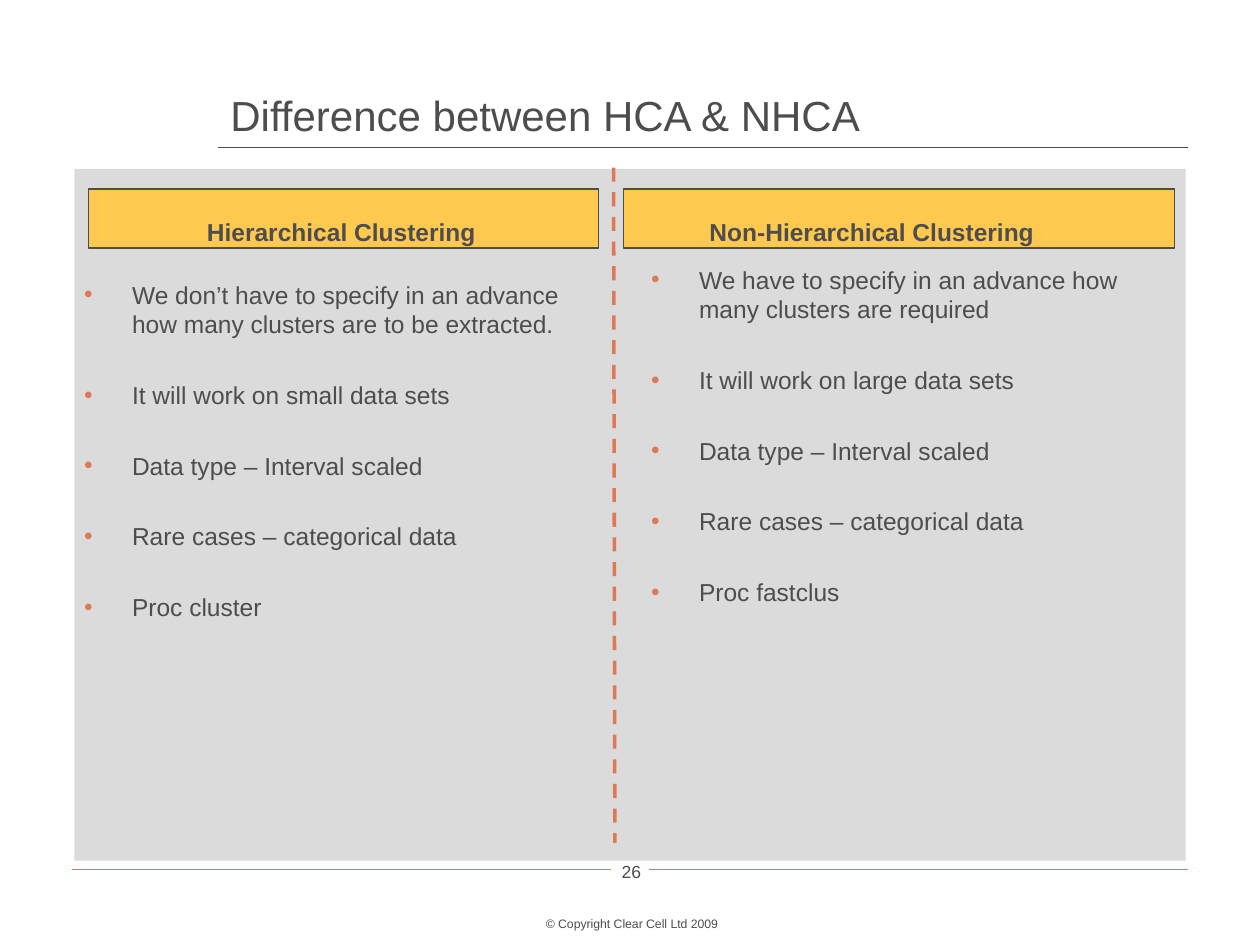
from lxml.etree import SubElement
from pptx import Presentation
from pptx.dml.color import RGBColor
from pptx.enum.dml import MSO_LINE
from pptx.enum.shapes import MSO_CONNECTOR, MSO_SHAPE
from pptx.enum.text import MSO_ANCHOR, PP_ALIGN
from pptx.oxml.ns import qn
from pptx.util import Inches, Pt

COLORS = {"text": "4D4D4D", "accent": "DD7956", "panel": "DBDBDB", "header": "FFC94F"}


class ComparisonSlide:
    """Holds the slide and its style; positions are in inches, sizes in points."""

    font = "Arial"
    line_height = 1.21
    bullet_indent = Inches(0.38)

    def __init__(self, slide):
        self.slide = slide

    def color(self, name):
        return RGBColor.from_string(COLORS[name])

    def line(self, start, end, color, width=0.75, dash=None):
        connector = self.slide.shapes.add_connector(
            MSO_CONNECTOR.STRAIGHT, *map(Inches, start + end))
        connector.line.color.rgb = self.color(color)
        connector.line.width = Pt(width)
        if dash:
            connector.line.dash_style = dash
        SubElement(connector._element.spPr, qn("a:effectLst"))

    def rectangle(self, box, fill, outline=None):
        shape = self.slide.shapes.add_shape(MSO_SHAPE.RECTANGLE, *map(Inches, box))
        shape.shadow.inherit = False
        shape.fill.solid()
        shape.fill.fore_color.rgb = self.color(fill)
        if outline:
            shape.line.color.rgb = self.color(outline)
            shape.line.width = Pt(0.75)
        else:
            shape.line.fill.background()

    def frame(self, box, anchor=MSO_ANCHOR.TOP):
        frame = self.slide.shapes.add_textbox(*map(Inches, box)).text_frame
        frame.word_wrap = True
        frame.vertical_anchor = anchor
        return frame

    def add_text(self, paragraph, text, size, bold=False):
        paragraph.line_spacing = Pt(round(size * self.line_height, 1))
        run = paragraph.add_run()
        run.text = text
        run.font.name = self.font
        run.font.size = Pt(size)
        run.font.bold = bold
        run.font.color.rgb = self.color("text")

    def label(self, box, text, size, align=PP_ALIGN.CENTER, bold=False,
              anchor=MSO_ANCHOR.TOP):
        paragraph = self.frame(box, anchor).paragraphs[0]
        paragraph.alignment = align
        self.add_text(paragraph, text, size, bold)

    def bullets(self, box, points, size=14, gap=23.5):
        frame = self.frame(box)
        for index, point in enumerate(points):
            paragraph = frame.add_paragraph() if index else frame.paragraphs[0]
            properties = paragraph._p.get_or_add_pPr()
            properties.set("marL", str(self.bullet_indent))
            properties.set("indent", str(-self.bullet_indent))
            bullet_color = SubElement(properties, qn("a:buClr"))
            SubElement(bullet_color, qn("a:srgbClr"), val=COLORS["accent"])
            SubElement(properties, qn("a:buFont"), typeface=self.font)
            SubElement(properties, qn("a:buChar"), char="•")
            if index:
                paragraph.space_before = Pt(gap)
            self.add_text(paragraph, point, size)


def main():
    presentation = Presentation()
    presentation.slide_width, presentation.slide_height = Inches(10), Inches(7.5)
    page = ComparisonSlide(
        presentation.slides.add_slide(presentation.slide_layouts[6]))

    page.label((4.8, 6.78, 0.42, 0.33), "26", 10)
    page.label((3.67, 7.22, 2.69, 0.22), "© Copyright Clear Cell Ltd 2009", 7)
    for left, right in ((0.57, 4.85), (5.15, 9.43)):
        page.line((left, 6.9), (right, 6.9), "accent")

    page.line((1.73, 1.17), (9.43, 1.17), "text")
    page.rectangle((0.59, 1.34, 8.82, 5.49), "panel")
    page.label((1.73, 0.6, 7.78, 0.56), "Difference between HCA & NHCA", 24,
               align=PP_ALIGN.LEFT, anchor=MSO_ANCHOR.BOTTOM)

    shared_points = ["Data type – Interval scaled", "Rare cases – categorical data"]
    methods = [
        ("Hierarchical Clustering", (0.7, 4.05), (0.81, 3.8), (0.57, 2.17),
         ["We don’t have to specify in an advance how many clusters are to be extracted.",
          "It will work on small data sets", *shared_points, "Proc cluster"]),
        ("Non-Hierarchical Clustering", (4.95, 4.37), (5.03, 3.78), (5.07, 2.05),
         ["We have to specify in an advance how many clusters are required",
          "It will work on large data sets", *shared_points, "Proc fastclus"]),
    ]
    for name, (bar_left, bar_width), (name_left, name_width), (left, top), points in methods:
        page.bullets((left, top, 4.34, 6.7 - top), points)
        page.rectangle((bar_left, 1.5, bar_width, 0.47), "header", outline="text")
        page.label((name_left, 1.67, name_width, 0.34), name, 14, bold=True)

    page.line((4.87, 1.33), (4.88, 6.69), "accent", width=2, dash=MSO_LINE.DASH)
    presentation.save("out.pptx")


if __name__ == "__main__":
    main()
